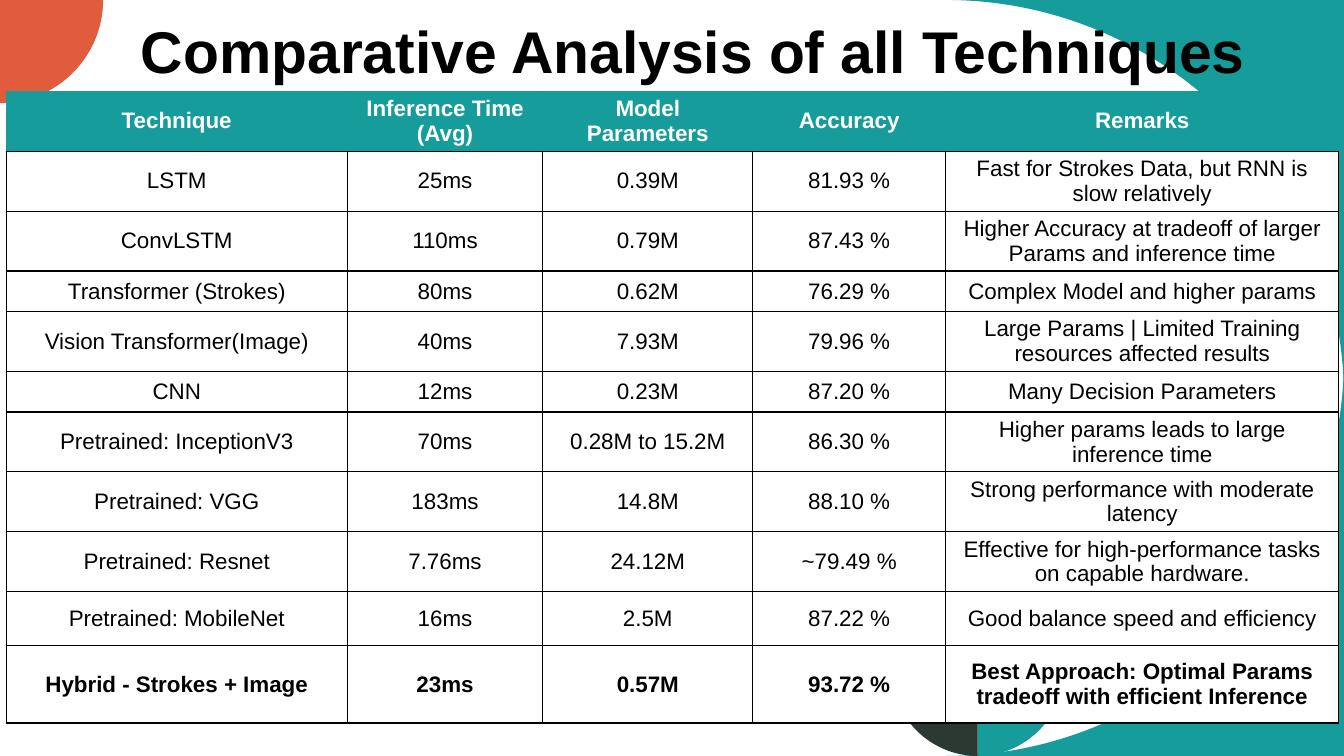
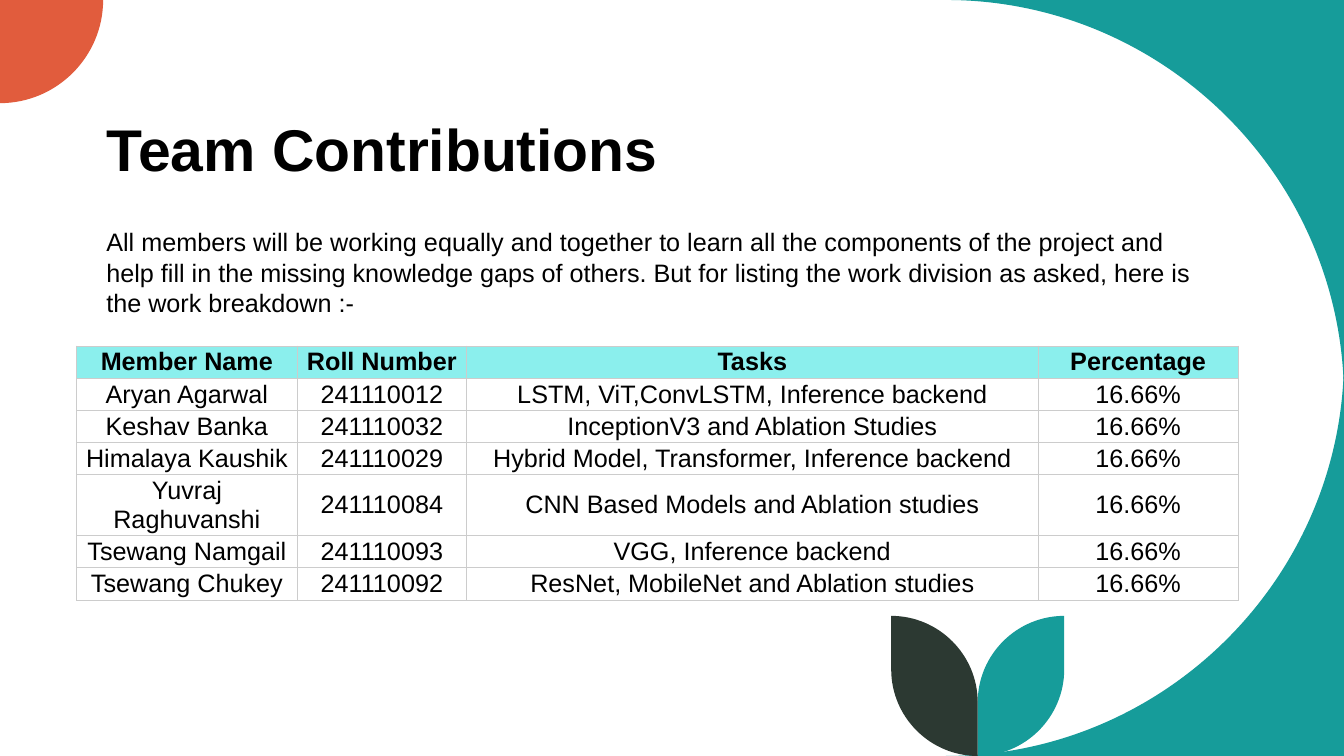
"""Build two slides: a comparison of techniques and the team contributions."""
from dataclasses import dataclass

import lxml.etree
import pptx
import pptx.dml.color
import pptx.enum.text
import pptx.oxml.ns
import pptx.presentation
import pptx.slide
import pptx.table
import pptx.text.text
import pptx.util

Cm = pptx.util.Cm
Pt = pptx.util.Pt
qn = pptx.oxml.ns.qn
Point = tuple[float, float]
Box = tuple[float, float, float, float]

WIDTH, HEIGHT = 33.87, 19.05
FONT = "Arial"
TEAL, ORANGE, DARK, AQUA = "169C9A", "E15C3D", "2C3932", "8BEFED"
BLACK, WHITE, GREY = "000000", "FFFFFF", "CCCCCC"


@dataclass(frozen=True)
class Outline:
    color: str
    start: Point
    segments: list[list[Point]]


@dataclass(frozen=True)
class TextStyle:
    size: float
    color: str = BLACK
    bold: bool = False
    spacing: float | None = None


@dataclass(frozen=True)
class TableStyle:
    size: float
    line: str
    line_width: float
    header_fill: str
    header_text: str
    header_line: str
    body_fill: str | None
    margin_x: float
    margin_y: float
    bold_last: bool = False


@dataclass(frozen=True)
class TableData:
    left: float
    top: float
    widths: list[float]
    heights: list[float]
    rows: list[tuple[str, ...]]
    style: TableStyle


TITLE = TextStyle(42, bold=True, spacing=0.9)
BODY = TextStyle(18, spacing=1.0)

ONE_LINE, TWO_LINES = 1.02, 1.51
TECHNIQUES = TableData(
    0.16, 2.3,
    [8.59, 4.93, 5.29, 4.86, 9.91],
    [TWO_LINES, TWO_LINES, TWO_LINES, ONE_LINE, TWO_LINES, ONE_LINE,
     TWO_LINES, TWO_LINES, TWO_LINES, 1.36, 1.95],
    [
        ("Technique", "Inference Time (Avg)", "Model Parameters", "Accuracy", "Remarks"),
        ("LSTM", "25ms", "0.39M", "81.93 %",
         "Fast for Strokes Data, but RNN is slow relatively"),
        ("ConvLSTM", "110ms", "0.79M", "87.43 %",
         "Higher Accuracy at tradeoff of larger Params and inference time"),
        ("Transformer (Strokes)", "80ms", "0.62M", "76.29 %",
         "Complex Model and higher params"),
        ("Vision Transformer(Image)", "40ms", "7.93M", "79.96 %",
         "Large Params | Limited Training resources affected results"),
        ("CNN", "12ms", "0.23M", "87.20 %", "Many Decision Parameters"),
        ("Pretrained: InceptionV3", "70ms", "0.28M to 15.2M", "86.30 %",
         "Higher params leads to large inference time"),
        ("Pretrained: VGG", "183ms", "14.8M", "88.10 %",
         "Strong performance with moderate latency"),
        ("Pretrained: Resnet", "7.76ms", "24.12M", "~79.49 %",
         "Effective for high-performance tasks on capable hardware."),
        ("Pretrained: MobileNet", "16ms", "2.5M", "87.22 %",
         "Good balance speed and efficiency"),
        ("Hybrid - Strokes + Image", "23ms", "0.57M", "93.72 %",
         "Best Approach: Optimal Params tradeoff with efficient Inference"),
    ],
    TableStyle(16, BLACK, 1, TEAL, WHITE, TEAL, WHITE, 0.25, 0.07, bold_last=True),
)

SHARE = "16.66%"
MEMBERS = [
    ("Aryan Agarwal", "241110012", "LSTM, ViT,ConvLSTM, Inference backend"),
    ("Keshav Banka", "241110032", "InceptionV3 and Ablation Studies"),
    ("Himalaya Kaushik", "241110029", "Hybrid Model, Transformer, Inference backend"),
    ("Yuvraj Raghuvanshi", "241110084", "CNN Based Models and Ablation studies"),
    ("Tsewang Namgail", "241110093", "VGG, Inference backend"),
    ("Tsewang Chukey", "241110092", "ResNet, MobileNet and Ablation studies"),
]
CONTRIBUTIONS = TableData(
    1.93, 8.72,
    [5.56, 4.27, 14.4, 5.05],
    [0.81] * 4 + [1.54] + [0.81] * 2,
    [("Member Name", "Roll Number", "Tasks", "Percentage")]
    + [(*member, SHARE) for member in MEMBERS],
    TableStyle(18, GREY, 0.75, AQUA, BLACK, GREY, None, 0.08, 0),
)
INTRO = (
    "All members will be working equally and together to learn all the components of "
    "the project and help fill in the missing knowledge gaps of others. But for listing "
    "the work division as asked, here is the work breakdown :-"
)


def rgb(color: str) -> pptx.dml.color.RGBColor:
    """Turn a hex string into a colour."""
    return pptx.dml.color.RGBColor.from_string(color)


def quarter(start: Point, corner: Point, end: Point) -> list[Point]:
    """Return the control points and end of a quarter circle bent towards a corner."""
    def toward(a: Point) -> Point:
        """Move from a point part of the way to the corner."""
        return a[0] + 0.55 * (corner[0] - a[0]), a[1] + 0.55 * (corner[1] - a[1])
    return [toward(start), toward(end), end]


def leaf(color: str, stem: float, tip: float) -> Outline:
    """Return a leaf that grows from the stem to its tip."""
    top, radius = 15.52, 2.18
    shoulder, hip = (stem, top + radius), (tip, HEIGHT - radius)
    return Outline(color, (tip, top), [
        quarter((tip, top), (stem, top), shoulder),
        [(stem, HEIGHT)],
        quarter((stem, HEIGHT), (tip, HEIGHT), hip),
    ])


def corner_cut(color: str, start: Point, bend: Point, end: Point, last: Point) -> Outline:
    """Return a quarter arc closed through one more point."""
    return Outline(color, start, [quarter(start, bend, end), [last]])


def decorations() -> list[Outline]:
    """Return the corner shapes and the two leaves."""
    big, small, stem, spread = 10.03, 2.6, 24.64, 2.18
    top_right, bottom_right = (WIDTH, 0), (WIDTH, HEIGHT)
    return [
        corner_cut(TEAL, (WIDTH - big, 0), top_right, (WIDTH, big), top_right),
        corner_cut(TEAL, (WIDTH, HEIGHT - big), bottom_right,
                   (WIDTH - big, HEIGHT), bottom_right),
        corner_cut(ORANGE, (small, 0), (small, small), (0, small), (0, 0)),
        leaf(TEAL, stem, stem + spread),
        leaf(DARK, stem, stem - spread),
    ]


def draw_outline(s: pptx.slide.Slide, outline: Outline) -> None:
    """Draw a filled outline, turning three-point segments into curves."""
    builder = s.shapes.build_freeform(*(Cm(v) for v in outline.start))
    points = [(Cm(x), Cm(y)) for segment in outline.segments for x, y in segment]
    builder.add_line_segments(points, close=True)
    sp = builder.convert_to_shape()
    lines = iter(list(sp._element.iter(qn("a:lnTo"))))
    for segment in outline.segments:
        group = [next(lines) for _ in segment]
        if len(group) == 3:
            curve = lxml.etree.Element(qn("a:cubicBezTo"))
            group[0].addprevious(curve)
            for line in group:
                curve.append(line[0])
                line.getparent().remove(line)
    sp.shadow.inherit = False
    sp.fill.solid()
    sp.fill.fore_color.rgb = rgb(outline.color)
    sp.line.fill.background()


def style_paragraph(p: pptx.text.text._Paragraph, style: TextStyle) -> None:
    """Apply font and line spacing to a paragraph."""
    p.line_spacing = style.spacing
    p.font.name = FONT
    p.font.size = Pt(style.size)
    p.font.bold = style.bold
    p.font.color.rgb = rgb(style.color)


def add_text(s: pptx.slide.Slide, text: str, box: Box, style: TextStyle,
             bottom: bool = False) -> None:
    """Add a wrapped text box."""
    tf = s.shapes.add_textbox(*(Cm(v) for v in box)).text_frame
    tf.word_wrap = True
    if bottom:
        tf.vertical_anchor = pptx.enum.text.MSO_ANCHOR.BOTTOM
    p = tf.paragraphs[0]
    p.text = text
    style_paragraph(p, style)


def set_border(cell: pptx.table._Cell, side: str, color: str, width: float) -> None:
    """Draw one side (L, R, T or B) of a cell."""
    tc_pr = cell._tc.get_or_add_tcPr()
    ln = lxml.etree.SubElement(tc_pr, qn(f"a:ln{side}"), w=str(Pt(width)))
    fill = lxml.etree.SubElement(ln, qn("a:solidFill"))
    lxml.etree.SubElement(fill, qn("a:srgbClr"), val=color)


def fill_cell(cell: pptx.table._Cell, text: str, style: TableStyle,
              header: bool, bold: bool) -> None:
    """Write and format one table cell."""
    cell.margin_left = cell.margin_right = Cm(style.margin_x)
    cell.margin_top = cell.margin_bottom = Cm(style.margin_y)
    cell.vertical_anchor = pptx.enum.text.MSO_ANCHOR.MIDDLE
    for side in "LRTB":
        color = style.header_line if header and side != "B" else style.line
        set_border(cell, side, color, style.line_width)
    fill = style.header_fill if header else style.body_fill
    if fill:
        cell.fill.solid()
        cell.fill.fore_color.rgb = rgb(fill)
    else:
        cell.fill.background()
    p = cell.text_frame.paragraphs[0]
    p.text = text
    p.alignment = pptx.enum.text.PP_ALIGN.CENTER
    style_paragraph(p, TextStyle(style.size, style.header_text if header else BLACK, bold))


def add_table(s: pptx.slide.Slide, data: TableData) -> None:
    """Add a table with its column widths and row heights."""
    table = s.shapes.add_table(
        len(data.rows), len(data.widths), Cm(data.left), Cm(data.top),
        Cm(sum(data.widths)), Cm(sum(data.heights)),
    ).table
    table.first_row = table.horz_banding = False
    for column, width in zip(table.columns, data.widths):
        column.width = Cm(width)
    last = len(data.rows) - 1
    for i, (values, height) in enumerate(zip(data.rows, data.heights)):
        table.rows[i].height = Cm(height)
        bold = i == 0 or (i == last and data.style.bold_last)
        for j, value in enumerate(values):
            fill_cell(table.cell(i, j), value, data.style, i == 0, bold)


def add_slide(prs: pptx.presentation.Presentation, title: str, box: Box) -> pptx.slide.Slide:
    """Add a decorated slide with its title."""
    s = prs.slides.add_slide(prs.slide_layouts[6])
    for outline in decorations():
        draw_outline(s, outline)
    add_text(s, title, box, TITLE, bottom=True)
    return s


def main() -> None:
    """Build and save the presentation."""
    prs = pptx.Presentation()
    prs.slide_width, prs.slide_height = Cm(WIDTH), Cm(HEIGHT)

    s = add_slide(prs, "Comparative Analysis of all Techniques", (3.3, 0, 29.24, 2.29))
    add_table(s, TECHNIQUES)

    s = add_slide(prs, "Team Contributions", (2.44, 0.28, 29, 4.5))
    add_table(s, CONTRIBUTIONS)
    add_text(s, INTRO, (2.43, 5.59, 28.04, 2.57), BODY)

    prs.save("out.pptx")


if __name__ == "__main__":
    main()
